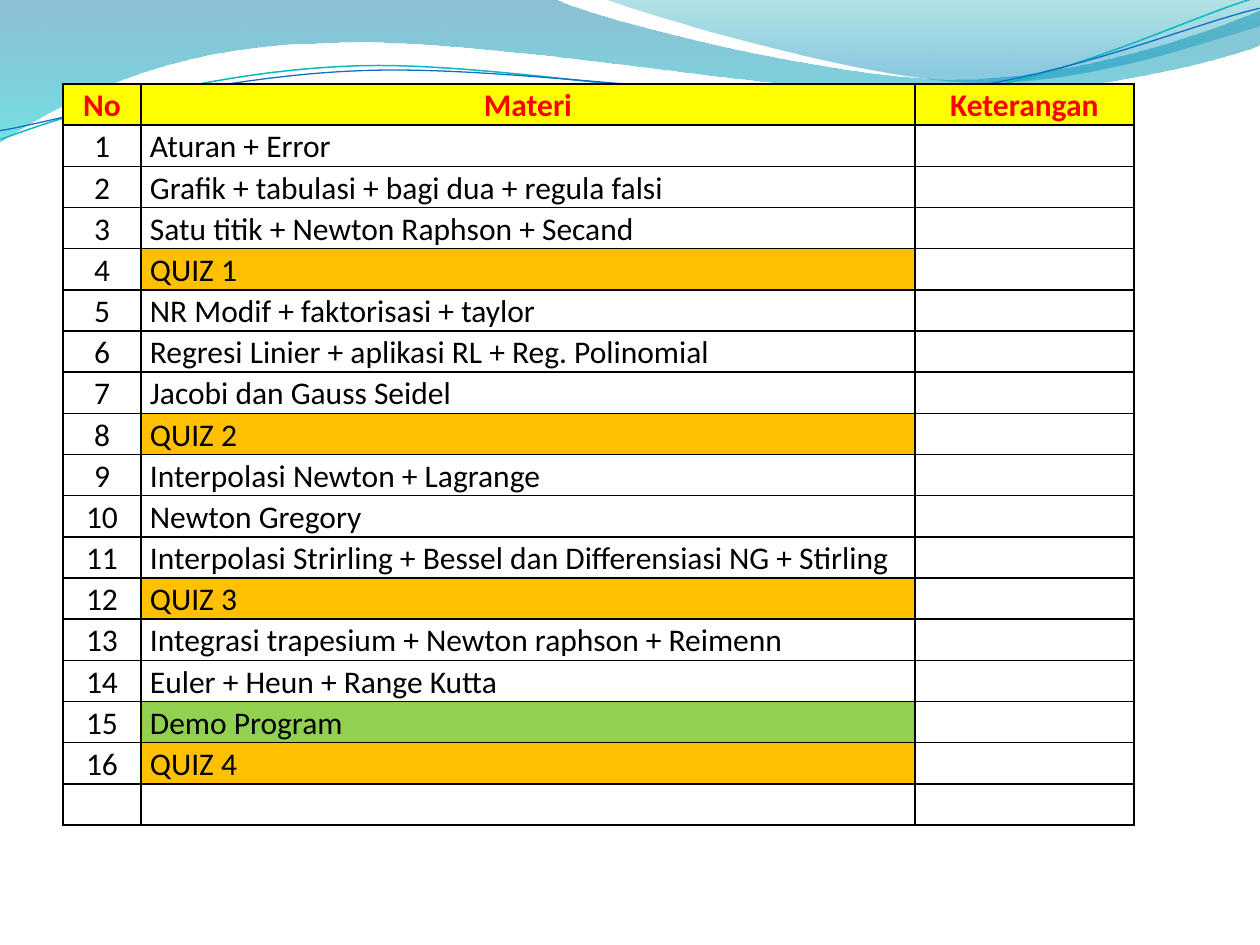
import pptx
import pptx.dml.color
import pptx.enum.text
import pptx.oxml
import pptx.oxml.ns
import pptx.util

PX = 914400 / 126
COLORS = {
    "header": "FFFF00", "header text": "FF0000", "text": "000000",
    "quiz": "FFC000", "demo": "92D050", "border": "000000",
    "deep blue": "0074A1", "turquoise": "00C6CF", "teal": "00A1A9", "sky": "008BBF",
    "teal line": "0AB8BF", "blue line": "0F6FC6",
}


def rgb(name):
    return pptx.dml.color.RGBColor.from_string(COLORS[name])


def add_wave(start, segments, close):
    """Draw a path whose segments hold one point (line) or three (cubic curve)."""
    vertices = [(segment[i] * PX, segment[i + 1] * PX)
                for segment in segments for i in range(0, len(segment), 2)]
    builder = slide.shapes.build_freeform(start[0] * PX, start[1] * PX)
    builder.add_line_segments(vertices, close=close)
    wave = builder.convert_to_shape()
    wave.shadow.inherit = False
    lines = iter(list(wave._element.iter(pptx.oxml.ns.qn("a:lnTo"))))
    for segment in segments:
        first = next(lines)
        if len(segment) == 6:
            curve = pptx.oxml.parse_xml(
                f'<a:cubicBezTo {pptx.oxml.ns.nsdecls("a")}/>')
            first.addprevious(curve)
            for line in (first, next(lines), next(lines)):
                curve.append(line[0])
                line.getparent().remove(line)
    return wave


prs = pptx.Presentation()
prs.slide_width = round(1260 * PX)
prs.slide_height = round(945 * PX)
slide = prs.slides.add_slide(prs.slide_layouts[6])

# Translucent bands across the top: start, segments, (position, colour, opacity %)
bands = [
    ((0, 0),
     [(554, -1), (600, 21, 837, 79, 955, 79), (1075, 79, 1207, 33, 1260, 11),
      (1261, 45), (1239, 55, 1096, 96, 940, 95), (784, 95, 481, 35, 324, 43),
      (163, 45, 58, 105, -1, 142)],
     [(0, "deep blue", 45), (1, "turquoise", 55)]),
    ((604, -1),
     [(641, 14, 859, 78, 969, 82), (1079, 87, 1211, 40, 1260, 26), (1260, 0)],
     [(0, "teal", 30), (0.8, "sky", 45)]),
]
for start, segments, stops in bands:
    band = add_wave(start, segments, True)
    band.line.fill.background()
    band.fill.gradient()
    band.fill.gradient_angle = 270
    for stop, (position, color, _) in zip(band.fill.gradient_stops, stops):
        stop.position = position
        stop.color.rgb = rgb(color)
    color_elements = band._element.spPr.iter(pptx.oxml.ns.qn("a:srgbClr"))
    for element, (_, _, opacity) in zip(list(color_elements), stops):
        element.append(pptx.oxml.parse_xml(
            f'<a:alpha {pptx.oxml.ns.nsdecls("a")} val="{opacity * 1000}"/>'))

# Thin wavy lines, tilted slightly upwards
strands = [
    ((-2, 110), [(59, 90, 200, 52, 350, 53), (499, 53, 745, 118, 896, 114),
                 (1049, 109, 1184, 45, 1260, 27)], "teal line", 0.85),
    ((-2, 101), [(57, 94, 207, 57, 357, 58), (509, 58, 750, 112, 902, 108),
                 (1052, 104, 1187, 52, 1262, 38)], "blue line", 0.75),
]
for start, segments, color, width in strands:
    strand = add_wave(start, segments, False)
    strand.rotation = 357.3
    strand.fill.background()
    strand.line.color.rgb = rgb(color)
    strand.line.width = pptx.util.Pt(width)

# Course schedule
topics = [
    "Aturan + Error",
    "Grafik + tabulasi + bagi dua + regula falsi",
    "Satu titik + Newton Raphson + Secand",
    "QUIZ 1",
    "NR Modif + faktorisasi + taylor",
    "Regresi Linier + aplikasi RL + Reg. Polinomial",
    "Jacobi dan Gauss Seidel",
    "QUIZ 2",
    "Interpolasi Newton + Lagrange",
    "Newton Gregory",
    "Interpolasi Strirling + Bessel dan Differensiasi NG + Stirling",
    "QUIZ 3",
    "Integrasi trapesium + Newton raphson + Reimenn",
    "Euler + Heun + Range Kutta",
    "Demo Program",
    "QUIZ 4",
]
rows = [("No", "Materi", "Keterangan")]
rows += [(str(number), topic, "") for number, topic in enumerate(topics, 1)]
rows.append(("", "", ""))
column_widths = [78, 774, 219]
row_height = 41

schedule = slide.shapes.add_table(
    len(rows), len(column_widths), round(63 * PX), round(84 * PX),
    round(sum(column_widths) * PX), round(len(rows) * row_height * PX)).table
schedule.first_row = False
schedule.horz_banding = False
for column, width in zip(schedule.columns, column_widths):
    column.width = round(width * PX)

for r, row in enumerate(rows):
    schedule.rows[r].height = round(row_height * PX)
    for c, text in enumerate(row):
        cell = schedule.cell(r, c)
        cell.margin_left = cell.margin_right = round(9 * PX)
        cell.margin_top = cell.margin_bottom = 0

        fill = None
        if r == 0:
            fill = "header"
        elif text.startswith("QUIZ"):
            fill = "quiz"
        elif text.startswith("Demo"):
            fill = "demo"
        if fill:
            cell.fill.solid()
            cell.fill.fore_color.rgb = rgb(fill)
        else:
            cell.fill.background()

        cell.text = text
        paragraph = cell.text_frame.paragraphs[0]
        paragraph.line_spacing = 1.07
        if r == 0 or c == 0:
            paragraph.alignment = pptx.enum.text.PP_ALIGN.CENTER
        paragraph.font.name = "Calibri"
        paragraph.font.size = pptx.util.Pt(18)
        paragraph.font.bold = r == 0
        paragraph.font.color.rgb = rgb("header text" if r == 0 else "text")

        cell_properties = cell._tc.get_or_add_tcPr()
        for position, side in enumerate("LRTB"):
            cell_properties.insert(position, pptx.oxml.parse_xml(
                f'<a:ln{side} {pptx.oxml.ns.nsdecls("a")} w="12700"><a:solidFill>'
                f'<a:srgbClr val="{COLORS["border"]}"/></a:solidFill></a:ln{side}>'))

prs.save("out.pptx")
